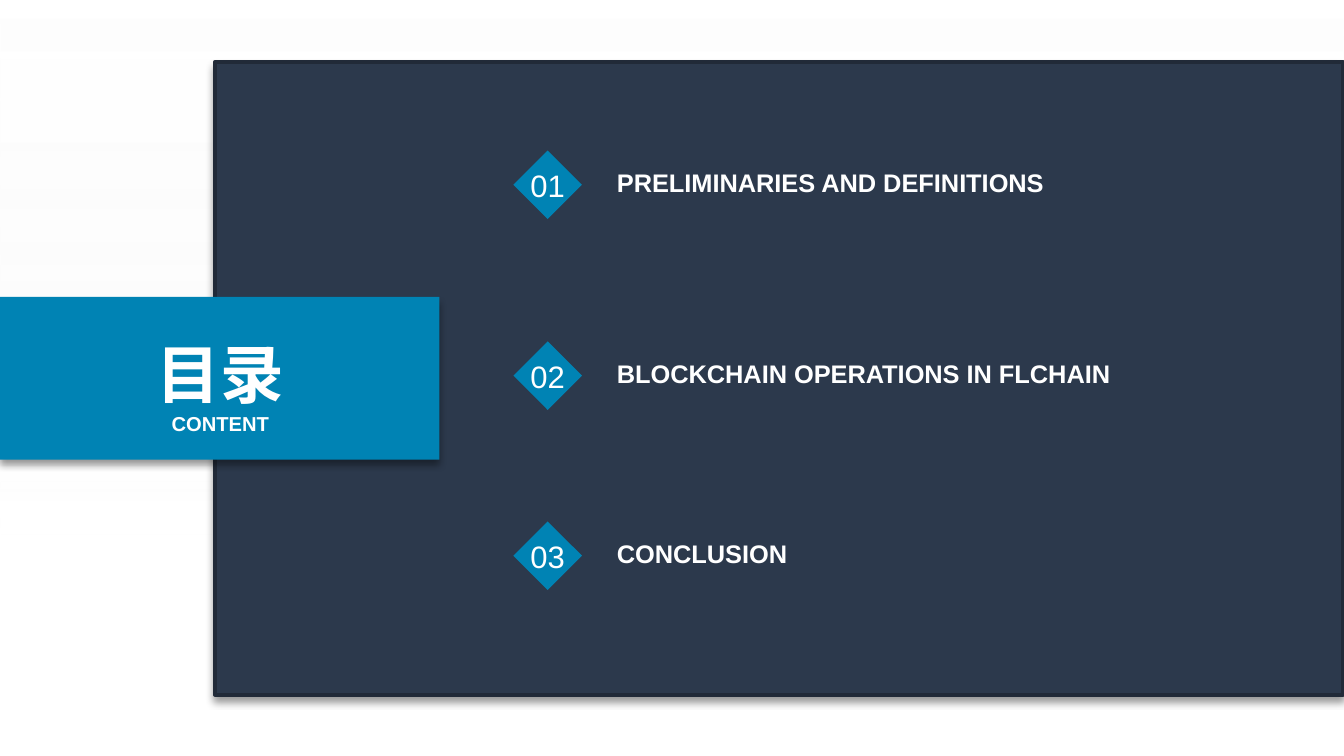
from lxml.etree import SubElement
from pptx import Presentation
from pptx.dml.color import RGBColor as RGB
from pptx.enum.shapes import MSO_SHAPE as Preset
from pptx.enum.text import MSO_ANCHOR as Anchor, MSO_AUTO_SIZE as AutoSize, PP_ALIGN as Align
from pptx.oxml import parse_xml
from pptx.oxml.ns import nsdecls, qn
from pptx.util import Inches, Pt

COLORS = {
    "white": "FFFFFF",
    "mist": "F2F2F2",
    "navy": "2C394C",
    "edge": "212A38",
    "blue": "0083B4",
}
SHADOW = (
    f'<a:effectLst {nsdecls("a")}><a:outerShdw blurRad="{Pt(4)}" dist="{Pt(3)}" '
    'dir="5400000" algn="t" rotWithShape="0"><a:srgbClr val="000000">'
    '<a:alpha val="40000"/></a:srgbClr></a:outerShdw></a:effectLst>'
)
WIDTH = 10
HEIGHT = WIDTH * 9 / 16

deck = Presentation()
deck.slide_width, deck.slide_height = Inches(WIDTH), Inches(HEIGHT)
slide = deck.slides.add_slide(deck.slide_layouts[5])
shapes = slide.shapes


def add_block(preset, left, top, width, height, color=None, shadow=False):
    block = shapes.add_shape(preset, Inches(left), Inches(top), Inches(width), Inches(height))
    block.shadow.inherit = False
    block.line.fill.background()
    if color:
        block.fill.solid()
        block.fill.fore_color.rgb = RGB.from_string(COLORS[color])
    if shadow:
        properties = block._element.spPr
        properties.replace(properties.find(qn("a:effectLst")), parse_xml(SHADOW))
    return block


def write(holder, text, size, bold=True, align=Align.CENTER, anchor=Anchor.TOP, margins=None):
    frame = holder.text_frame
    frame.auto_size = AutoSize.NONE
    frame.word_wrap = False
    frame.vertical_anchor = anchor
    if margins:
        (frame.margin_left, frame.margin_top,
         frame.margin_right, frame.margin_bottom) = map(Inches, margins)
    line = frame.paragraphs[0]
    line.alignment = align
    run = line.add_run()
    run.text = text
    run.font.size = Pt(size)
    run.font.bold = bold
    run.font.name = "Arial"
    run.font.color.rgb = RGB.from_string(COLORS["white"])


# Background gradient, fading out downwards
backdrop = add_block(Preset.RECTANGLE, 0, 0, WIDTH, HEIGHT)
backdrop.fill.gradient()
backdrop.fill.gradient_angle = 270
fades = [("white", 0, 55), ("mist", 0.71, 0)]
for stop, (color, position, opacity) in zip(backdrop.fill.gradient_stops, fades):
    stop.position = position
    stop.color.rgb = RGB.from_string(COLORS[color])
for tint, (_, _, opacity) in zip(backdrop._element.spPr.iter(qn("a:srgbClr")), fades):
    SubElement(tint, qn("a:alpha")).set("val", str(opacity * 1000))

# Dark panel
panel = add_block(Preset.RECTANGLE, 1.6, 0.46, 8.39, 4.71, "navy", shadow=True)
panel.line.color.rgb = RGB.from_string(COLORS["edge"])
panel.line.width = Pt(2)

# Numbered chapters
chapters = [
    (1.12, "PRELIMINARIES AND DEFINITIONS"),
    (2.54, "BLOCKCHAIN OPERATIONS IN FLCHAIN"),
    (3.88, "CONCLUSION"),
]
for number, (top, chapter) in enumerate(chapters, start=1):
    marker = add_block(Preset.DIAMOND, 3.82, top, 0.51, 0.51, "blue")
    write(marker, f"{number:02}", 16.6, bold=False, anchor=Anchor.MIDDLE, margins=(0, 0, 0, 0))
    label = shapes.add_textbox(Inches(4.2), Inches(top + 0.15), Inches(3.25), Inches(0.2))
    write(label, chapter, 13.6, align=Align.LEFT, anchor=Anchor.BOTTOM, margins=(0.39, 0, 0, 0))

# Heading banner
add_block(Preset.RECTANGLE, 0, 2.21, 3.27, 1.21, "blue", shadow=True)
heading = shapes.title
heading.left, heading.top = Inches(1.06), Inches(2.44)
heading.width, heading.height = Inches(1.16), Inches(0.63)
write(heading, "目录", 34.1)
shapes._spTree.append(heading._element)  # bring in front of the banner
subheading = shapes.add_textbox(Inches(1.06), Inches(3.01), Inches(1.16), Inches(0.25))
write(subheading, "CONTENT", 10.8)

deck.save("out.pptx")
